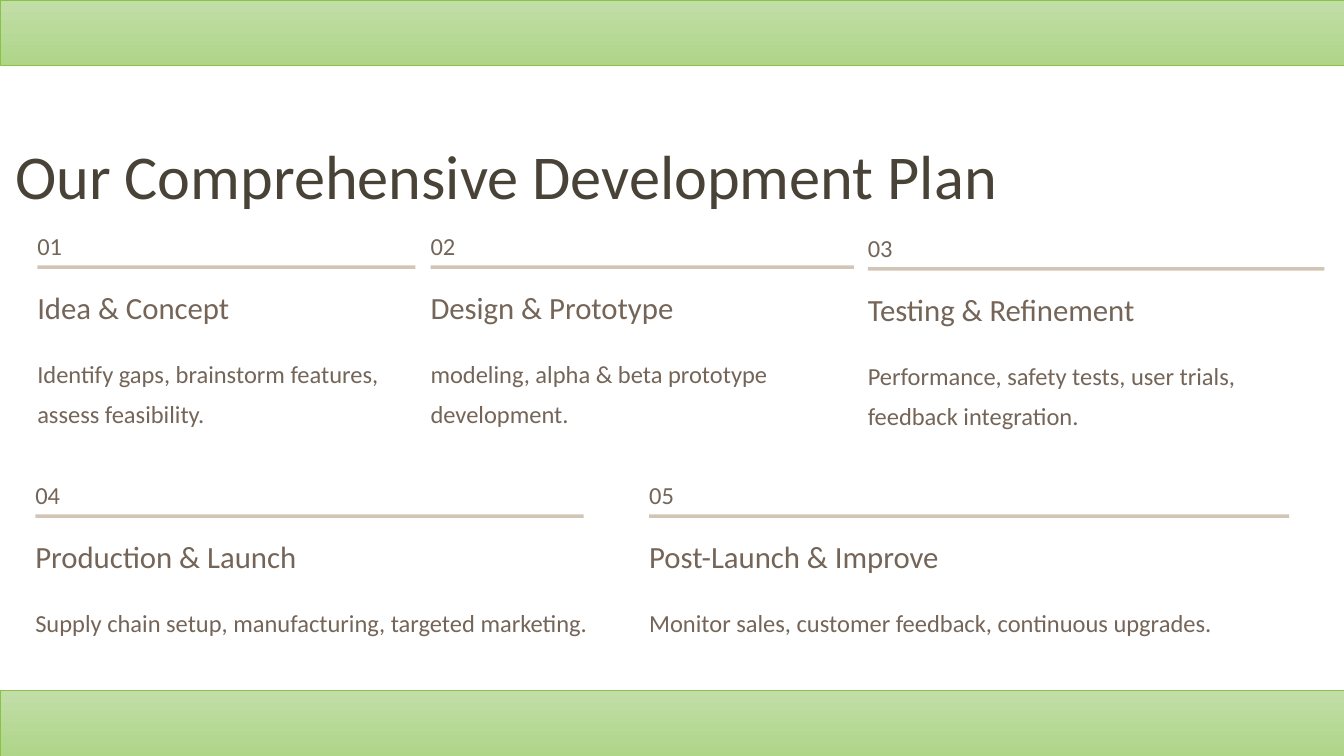
from pptx import Presentation
from pptx.dml.color import RGBColor
from pptx.enum.shapes import MSO_SHAPE as Shape
from pptx.enum.text import MSO_ANCHOR as Anchor, MSO_AUTO_SIZE as AutoSize, PP_ALIGN as Align
from pptx.util import Cm, Pt

TITLE_BROWN = RGBColor(0x48, 0x42, 0x37)
TEXT_BROWN = RGBColor(0x74, 0x65, 0x58)
RULE_BEIGE = RGBColor(0xD3, 0xC5, 0xB6)
BAND_LIGHT = RGBColor(0xC2, 0xDE, 0xA8)
BAND_DARK = RGBColor(0xAE, 0xD5, 0x88)
BAND_EDGE = RGBColor(0x8B, 0xC1, 0x45)

SLIDE_WIDTH, SLIDE_HEIGHT, BAND_HEIGHT = 33.87, 19.05, 1.65

PHASES = [
    (0.94, 5.56, 9.53, "01", "Idea & Concept",
     "Identify gaps, brainstorm features, assess feasibility."),
    (10.85, 5.56, 10.67, "02", "Design & Prototype",
     "modeling, alpha & beta prototype development."),
    (21.87, 5.6, 11.51, "03", "Testing & Refinement",
     "Performance, safety tests, user trials, feedback integration."),
    (0.89, 11.83, 13.82, "04", "Production & Launch",
     "Supply chain setup, manufacturing, targeted marketing."),
    (16.36, 11.83, 16.13, "05", "Post-Launch & Improve",
     "Monitor sales, customer feedback, continuous upgrades."),
]


class PlanSlide:
    font = "Calibri"

    def __init__(self, deck):
        self.slide = deck.slides.add_slide(deck.slide_layouts[5])

    def set_text(self, holder, words, size, spacing, color, wrap=False):
        frame = holder.text_frame
        frame.text = words
        frame.auto_size = AutoSize.NONE
        frame.word_wrap = wrap
        frame.vertical_anchor = Anchor.TOP
        frame.margin_left = frame.margin_top = frame.margin_right = frame.margin_bottom = 0
        paragraph = frame.paragraphs[0]
        paragraph.alignment = Align.LEFT
        paragraph.line_spacing = Pt(spacing)
        font = paragraph.runs[0].font
        font.name, font.size, font.color.rgb = self.font, Pt(size), color

    def title(self, words):
        heading = self.slide.shapes.title
        heading.left, heading.top = Cm(0.38), Cm(3.38)
        heading.width, heading.height = Cm(30.2), Cm(1.98)
        self.set_text(heading, words, 44.5, 55.5, TITLE_BROWN)

    def text(self, left, top, width, height, words, size, spacing, wrap=False):
        box = self.slide.shapes.add_textbox(Cm(left), Cm(top), Cm(width), Cm(height))
        self.set_text(box, words, size, spacing, TEXT_BROWN, wrap)

    def rectangle(self, left, top, width, height):
        bar = self.slide.shapes.add_shape(
            Shape.RECTANGLE, Cm(left), Cm(top), Cm(width), Cm(height))
        bar.shadow.inherit = False
        return bar

    def rule(self, left, top, width):
        bar = self.rectangle(left, top, width, 0.09)
        bar.fill.solid()
        bar.fill.fore_color.rgb = RULE_BEIGE
        bar.line.fill.background()

    def band(self, top):
        bar = self.rectangle(0, top, SLIDE_WIDTH, BAND_HEIGHT)
        bar.fill.gradient()
        bar.fill.gradient_angle = 270
        for stop, color, position in zip(
                bar.fill.gradient_stops, (BAND_LIGHT, BAND_DARK), (0, 1)):
            stop.color.rgb = color
            stop.position = position
        bar.line.color.rgb = BAND_EDGE
        bar.line.width = Pt(0.5)

    def phase(self, left, top, width, number, name, details):
        two_lines = top < SLIDE_HEIGHT / 2
        self.text(left, top, 0.6, 0.9, number, 17.5, 28.5)
        self.rule(left, top + 1.13, width)
        self.text(left, top + 1.68, 8.3, 1.12, name, 22, 27.5)
        self.text(left, top + 3.23, width, 2.28 if two_lines else 1.14,
                  details, 17.5, 28.5, wrap=two_lines)


def main():
    deck = Presentation()
    deck.slide_width, deck.slide_height = Cm(SLIDE_WIDTH), Cm(SLIDE_HEIGHT)
    plan = PlanSlide(deck)
    plan.title("Our Comprehensive Development Plan")
    for phase in PHASES:
        plan.phase(*phase)
    for top in (0, SLIDE_HEIGHT - BAND_HEIGHT):
        plan.band(top)
    deck.save("out.pptx")


if __name__ == "__main__":
    main()
